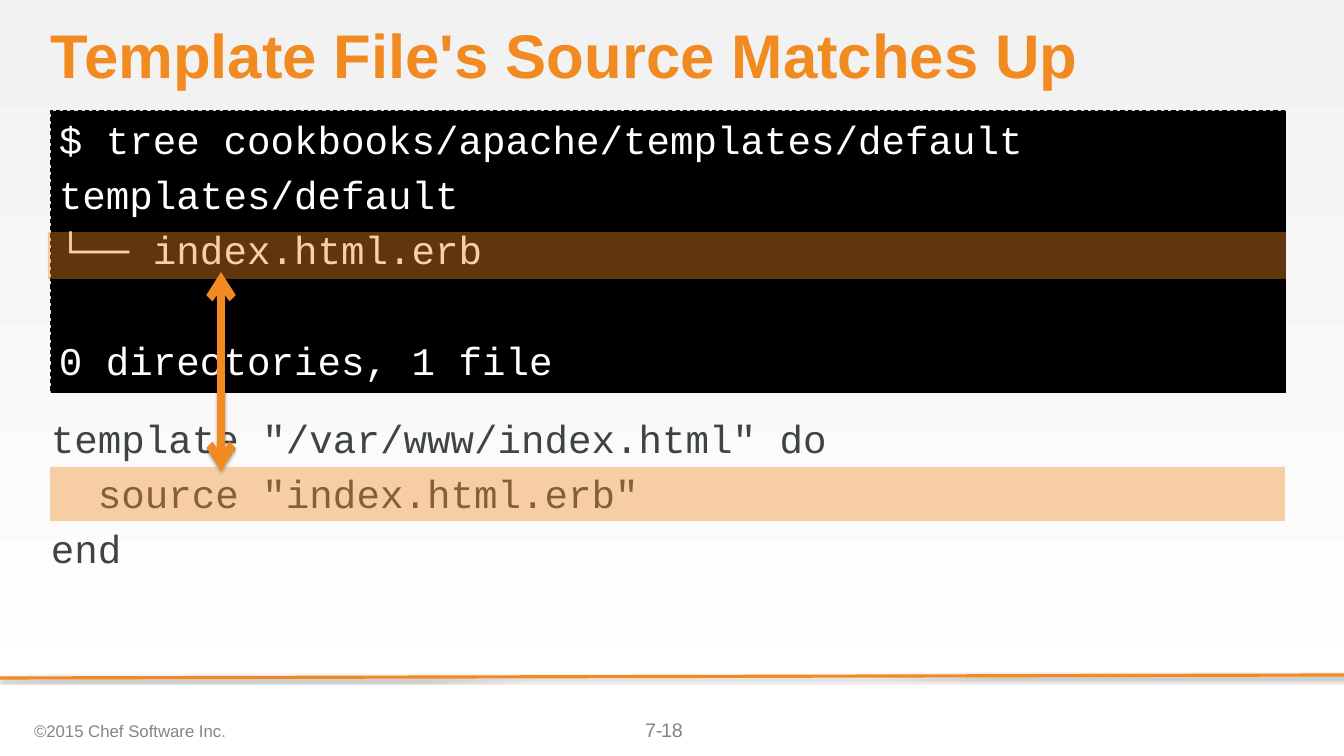
from lxml.etree import SubElement
from pptx import Presentation
from pptx.dml.color import RGBColor
from pptx.enum.dml import MSO_LINE
from pptx.enum.shapes import MSO_CONNECTOR, MSO_SHAPE
from pptx.enum.text import MSO_ANCHOR, PP_ALIGN
from pptx.oxml.ns import qn
from pptx.util import Pt

TITLE = "Template File's Source Matches Up"
TERMINAL = [
    ("$ tree cookbooks/apache/templates/default", 0),
    ("templates/default", 0),
    ("└── index.html.erb", 0),
    ("0 directories, 1 file", 1),
]
CODE = [
    ('template "/var/www/index.html" do', 0),
    ('  source "index.html.erb"', 0),
    ("end", 0),
]
COPYRIGHT = [("©2015 Chef Software Inc", "grey"), (".", "dot")]
CHAPTER, PAGE = "7-", "18"

BOXES = {
    "title": (51, 23, 1235, 69),
    "terminal": (51, 111, 1235, 282),
    "code": (51, 414, 1235, 282),
    "copyright": (26, 710, 470, 42),
    "chapter": (645, 718, 58, 24),
    "page": (521, 710, 302, 40),
}
HIGHLIGHTS = [(48, 232, 1238, 47), (50, 467, 1235, 54)]
RULE = (1344, 675, 0, 678)
ARROW = (221, 272, 221, 471)

THEME = {
    "orange": "F18B21", "black": "000000", "white": "FFFFFF",
    "code": "3E4346", "grey": "7D868C", "dot": "929494",
    "background": ("F2F2F2", "FFFFFF"),
    "sans": "Arial", "mono": "Courier New",
    "title_size": 58.7, "code_size": 37.3, "page_size": 18.7, "small_size": 16,
    "code_gap": 8, "code_line": 45, "highlight_alpha": 40,
}
INSET = (8, 4, 8, 4)
FLUSH = (0, 0, 0, 0)


def px(n):
    return int(n * 914400 / 75.6)


def rgb(name):
    return RGBColor.from_string(THEME[name])


def assign(target, **values):
    for name, value in values.items():
        setattr(target, name, value)


def frame(s, insets, anchor=MSO_ANCHOR.TOP):
    sides = ("margin_left", "margin_top", "margin_right", "margin_bottom")
    assign(s.text_frame, word_wrap=True, vertical_anchor=anchor,
           **dict(zip(sides, map(px, insets))))
    return s.text_frame


def add_run(p, text, face, size, color, bold=False):
    r = p.add_run()
    r.text = text
    assign(r.font, name=THEME[face], size=Pt(THEME[size]), bold=bold)
    r.font.color.rgb = rgb(color)


def write_lines(tf, lines, color):
    gap, height = THEME["code_gap"], THEME["code_line"]
    for i, (text, skipped) in enumerate(lines):
        p = tf.add_paragraph() if i else tf.paragraphs[0]
        space = gap + skipped * (height + gap) if i else 0
        assign(p, alignment=PP_ALIGN.LEFT, space_before=Pt(space))
        add_run(p, text, "mono", "code_size", color)


def add_rect(s, box, color):
    sp = s.shapes.add_shape(MSO_SHAPE.RECTANGLE, *map(px, box))
    sp.shadow.inherit = False
    sp.fill.solid()
    sp.fill.fore_color.rgb = rgb(color)
    sp.line.fill.background()
    return sp


def add_line(s, ends, width, heads=()):
    line = s.shapes.add_connector(MSO_CONNECTOR.STRAIGHT, *map(px, ends))
    line.line.color.rgb = rgb("orange")
    line.line.width = Pt(width)
    for head in heads:
        SubElement(line.line._get_or_add_ln(), qn(f"a:{head}"), type="arrow")
    effects = SubElement(line._element.spPr, qn("a:effectLst"))
    shadow = SubElement(effects, qn("a:outerShdw"), blurRad=str(Pt(3.1)),
                        dist=str(Pt(1.8)), dir="5400000", rotWithShape="0")
    color = SubElement(shadow, qn("a:srgbClr"), val=THEME["black"])
    SubElement(color, qn("a:alpha"), val="35000")


def add_text(s, name, runs, size, align, insets, anchor):
    tf = frame(s.shapes.add_textbox(*map(px, BOXES[name])), insets, anchor)
    p = tf.paragraphs[0]
    p.alignment = align
    for text, color in runs:
        add_run(p, text, "sans", size, color)


def main():
    prs = Presentation()
    assign(prs, slide_width=px(1344), slide_height=px(756))
    s = prs.slides.add_slide(prs.slide_layouts[5])

    fill = s.background.fill
    fill.gradient()
    fill.gradient_angle = 270
    for stop, color in zip(fill.gradient_stops, THEME["background"]):
        stop.color.rgb = RGBColor.from_string(color)

    add_line(s, RULE, 3)
    add_text(s, "chapter", [(CHAPTER, "grey")], "page_size",
             PP_ALIGN.LEFT, FLUSH, MSO_ANCHOR.TOP)

    title = s.shapes.title
    assign(title, **dict(zip(("left", "top", "width", "height"),
                             map(px, BOXES["title"]))))
    p = frame(title, FLUSH, MSO_ANCHOR.BOTTOM).paragraphs[0]
    assign(p, alignment=PP_ALIGN.LEFT, line_spacing=0.9)
    add_run(p, TITLE, "sans", "title_size", "orange", bold=True)

    terminal = add_rect(s, BOXES["terminal"], "black")
    terminal.line.color.rgb = rgb("black")
    assign(terminal.line, width=Pt(1), dash_style=MSO_LINE.DASH)
    write_lines(frame(terminal, INSET), TERMINAL, "white")

    code = s.shapes.add_textbox(*map(px, BOXES["code"]))
    write_lines(frame(code, FLUSH), CODE, "code")

    add_line(s, ARROW, 8, ("headEnd", "tailEnd"))
    for box in HIGHLIGHTS:
        band = add_rect(s, box, "orange")
        color = band._element.spPr.find(qn("a:solidFill"))[0]
        SubElement(color, qn("a:alpha"), val=str(THEME["highlight_alpha"] * 1000))

    add_text(s, "copyright", COPYRIGHT, "small_size",
             PP_ALIGN.LEFT, INSET, MSO_ANCHOR.MIDDLE)
    add_text(s, "page", [(PAGE, "grey")], "page_size",
             PP_ALIGN.CENTER, INSET, MSO_ANCHOR.MIDDLE)
    prs.save("out.pptx")


if __name__ == "__main__":
    main()
